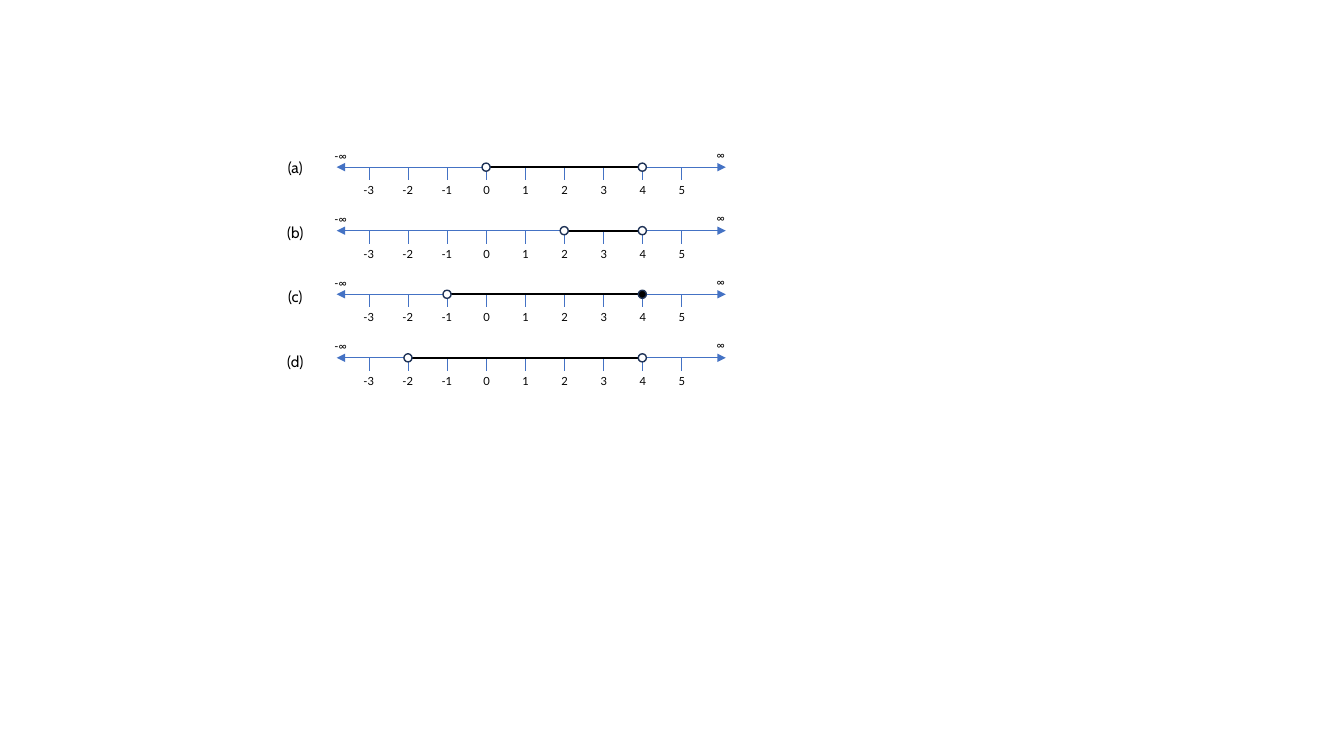
"""Build a slide with four intervals drawn on number lines."""
from dataclasses import dataclass

from pptx import Presentation
from pptx.dml.color import RGBColor
from pptx.enum.shapes import MSO_CONNECTOR, MSO_SHAPE
from pptx.enum.text import MSO_AUTO_SIZE, PP_ALIGN
from pptx.oxml.ns import qn
from pptx.util import Pt
from lxml.etree import SubElement


@dataclass(frozen=True)
class Theme:
    axis: RGBColor = RGBColor(0x44, 0x72, 0xC4)
    ink: RGBColor = RGBColor(0, 0, 0)
    paper: RGBColor = RGBColor(255, 255, 255)
    outline: RGBColor = RGBColor(0x1E, 0x32, 0x56)
    number_font: str = "Lato"
    label_font: str = "Cabin"
    number_size: float = 8
    label_size: float = 11
    axis_width: float = 0.5
    outline_width: float = 1
    interval_width: float = 1.5


AXIS_LEFT, AXIS_RIGHT = 240.5, 518.4
AXIS_TOP, AXIS_PITCH = 119.4, 45.4
LABEL_TOP, LABEL_PITCH = 109.4, 46.1
FIRST_NUMBER, LAST_NUMBER = -3, 5
FIRST_TICK, TICK_GAP, TICK_HEIGHT = 263.5, 27.9, 9.3
MARKER_SIZE = 5.8

INTERVALS = [
    ("(a)", 0, 4, False),
    ("(b)", 2, 4, False),
    ("(c)", -1, 4, True),
    ("(d)", -2, 4, False),
]


def number_x(number):
    return FIRST_TICK + (number - FIRST_NUMBER) * TICK_GAP


class NumberLineSlide:
    def __init__(self, slide, theme):
        self.slide = slide
        self.theme = theme

    def line(self, shapes, start, end, color, width, arrows=False):
        connector = shapes.add_connector(
            MSO_CONNECTOR.STRAIGHT, *(Pt(value) for value in (*start, *end)))
        connector.line.color.rgb = color
        connector.line.width = Pt(width)
        if arrows:
            line_element = connector.line._get_or_add_ln()
            for tag in ("a:headEnd", "a:tailEnd"):
                SubElement(line_element, qn(tag), type="triangle")
        SubElement(connector._element.spPr, qn("a:effectLst"))

    def text(self, shapes, text, box, font, size, alignment=PP_ALIGN.LEFT):
        shape = shapes.add_textbox(*(Pt(value) for value in box))
        frame = shape.text_frame
        frame.word_wrap = True
        frame.auto_size = MSO_AUTO_SIZE.SHAPE_TO_FIT_TEXT
        if alignment == PP_ALIGN.LEFT:
            frame.margin_right = 0
        frame.text = text
        paragraph = frame.paragraphs[0]
        paragraph.alignment = alignment
        run = paragraph.runs[0]
        run.font.name = font
        run.font.size = Pt(size)
        run.font.color.rgb = self.theme.ink

    def number(self, shapes, text, left, top, width):
        self.text(shapes, text, (left, top, width, 17),
                  self.theme.number_font, self.theme.number_size)

    def axis(self, y):
        theme = self.theme
        shapes = self.slide.shapes.add_group_shape().shapes
        self.line(shapes, (AXIS_LEFT, y), (AXIS_RIGHT, y),
                  theme.axis, theme.axis_width, arrows=True)
        for number in range(FIRST_NUMBER, LAST_NUMBER + 1):
            x = number_x(number)
            self.line(shapes, (x, y), (x, y + TICK_HEIGHT), theme.axis, theme.axis_width)
            inset = 11 if number < 0 else 9
            self.number(shapes, str(number), x - inset, y + 8, 22.3)
        self.number(shapes, "-∞", 231.8, y - 16.5, 27.4)
        self.number(shapes, "∞", 504.7, y - 17.2, 27.4)

    def label(self, text, top):
        self.text(self.slide.shapes, text, (195.1, top, 31.7, 20.9),
                  self.theme.label_font, self.theme.label_size, PP_ALIGN.CENTER)

    def marker(self, number, y, closed):
        theme = self.theme
        shape = self.slide.shapes.add_shape(
            MSO_SHAPE.OVAL, Pt(number_x(number) - MARKER_SIZE / 2),
            Pt(y - MARKER_SIZE / 2), Pt(MARKER_SIZE), Pt(MARKER_SIZE))
        shape.shadow.inherit = False
        shape.fill.solid()
        shape.fill.fore_color.rgb = theme.ink if closed else theme.paper
        shape.line.color.rgb = theme.outline
        shape.line.width = Pt(theme.outline_width)

    def interval(self, start, end, y, end_closed):
        self.line(self.slide.shapes, (number_x(start), y), (number_x(end), y),
                  self.theme.ink, self.theme.interval_width)
        self.marker(start, y, False)
        self.marker(end, y, end_closed)


def main():
    presentation = Presentation()
    presentation.slide_width = Pt(960)
    presentation.slide_height = Pt(540)
    slide = presentation.slides.add_slide(presentation.slide_layouts[6])
    number_lines = NumberLineSlide(slide, Theme())
    for row, (label, start, end, end_closed) in enumerate(INTERVALS):
        y = AXIS_TOP + row * AXIS_PITCH
        number_lines.axis(y)
        number_lines.label(label, LABEL_TOP + row * LABEL_PITCH)
        number_lines.interval(start, end, y, end_closed)
    presentation.save("out.pptx")


if __name__ == "__main__":
    main()
